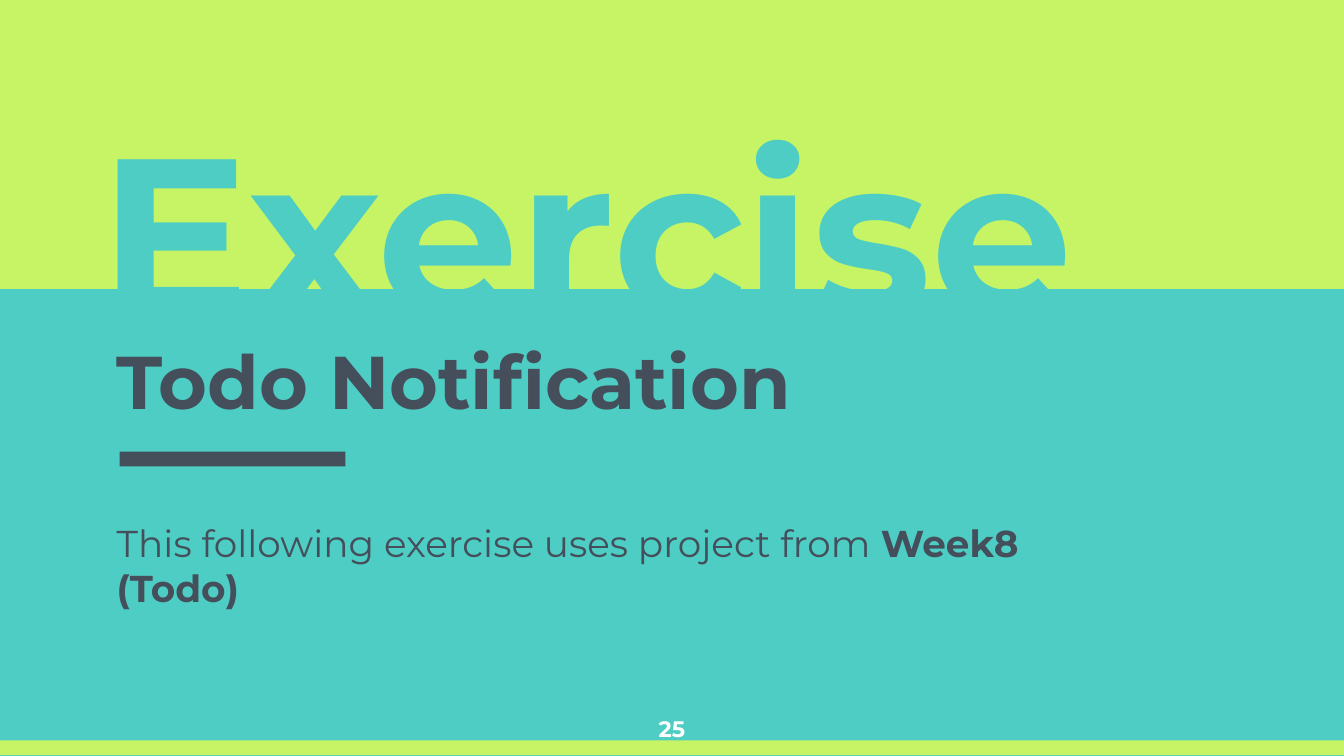
"""Build the exercise slide with a half-sunken title."""
from pptx import Presentation
from pptx.dml.color import RGBColor
from pptx.enum.shapes import MSO_SHAPE
from pptx.enum.text import MSO_ANCHOR, MSO_AUTO_SIZE, PP_ALIGN
from pptx.util import Inches, Pt

RECT = MSO_SHAPE.RECTANGLE
TOP, BOTTOM = MSO_ANCHOR.TOP, MSO_ANCHOR.BOTTOM
LEFT, CENTER = PP_ALIGN.LEFT, PP_ALIGN.CENTER
FIXED = MSO_AUTO_SIZE.NONE
FONT = "Montserrat"
COLORS = {"teal": "4ECDC4", "lime": "C7F464", "slate": "454F5B", "white": "FFFFFF"}


def color(name):
    return RGBColor.from_string(COLORS[name])


def add_bar(slide, box, fill):
    bar = slide.shapes.add_shape(RECT, *map(Inches, box))
    bar.shadow.inherit = False
    bar.fill.solid()
    bar.fill.fore_color.rgb = color(fill)
    bar.line.fill.background()
    return bar


def set_text(shape, box, runs, size, ink, align=LEFT, anchor=TOP):
    shape.left, shape.top, shape.width, shape.height = map(Inches, box)
    frame = shape.text_frame
    frame.word_wrap = True
    frame.auto_size = FIXED
    frame.vertical_anchor = anchor
    frame.margin_left = frame.margin_right = Inches(0.1)
    frame.margin_top = frame.margin_bottom = Inches(0.1)
    para = frame.paragraphs[0]
    para.alignment = align
    para.line_spacing = 1.0
    para.space_before = Pt(0)
    for text, bold in runs:
        run = para.add_run()
        run.text = text
        run.font.name = FONT
        run.font.size = Pt(size)
        run.font.bold = bold
        run.font.color.rgb = color(ink)


def add_text(slide, box, *args, **style):
    set_text(slide.shapes.add_textbox(*map(Inches, box)), box, *args, **style)


def main():
    deck = Presentation()
    deck.slide_width, deck.slide_height = Inches(10), Inches(10 * 9 / 16)
    slide = deck.slides.add_slide(deck.slide_layouts[0])
    slide.background.fill.solid()
    slide.background.fill.fore_color.rgb = color("teal")

    strip = add_bar(slide, (0, 5.51, 10, 0.11), "lime")
    band = add_bar(slide, (0, 0, 10, 2.15), "lime")
    tree = slide.shapes.title._element.getparent()
    for spot, bar in enumerate((strip, band), start=2):
        tree.insert(spot, bar._element)

    set_text(slide.shapes.title, (0.64, 1.52, 8.15, 1.27),
             [("Exercise", True)], 120, "teal", anchor=BOTTOM)
    set_text(slide.placeholders[1], (0.77, 2.39, 5.9, 0.69),
             [("Todo Notification", True)], 40, "slate")
    add_text(slide, (0.77, 3.77, 7.29, 1.55),
             [("This following exercise uses project from ", False),
              ("Week8 (Todo)", True)], 20, "slate")
    add_bar(slide, (0.89, 3.36, 1.68, 0.11), "slate")
    add_text(slide, (4.7, 5.22, 0.6, 0.34), [("25", True)], 12, "white", align=CENTER)
    deck.save("out.pptx")


if __name__ == "__main__":
    main()
